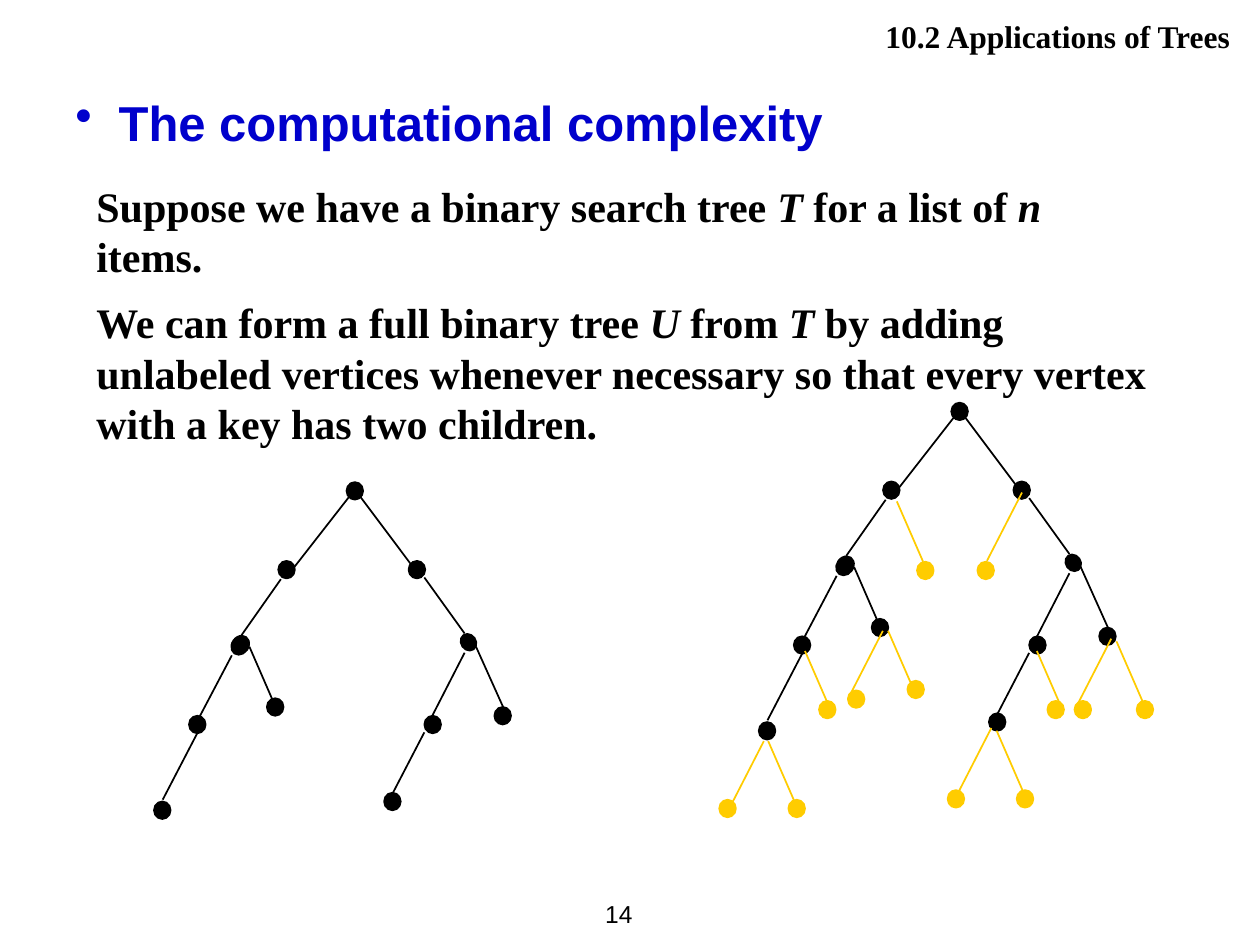
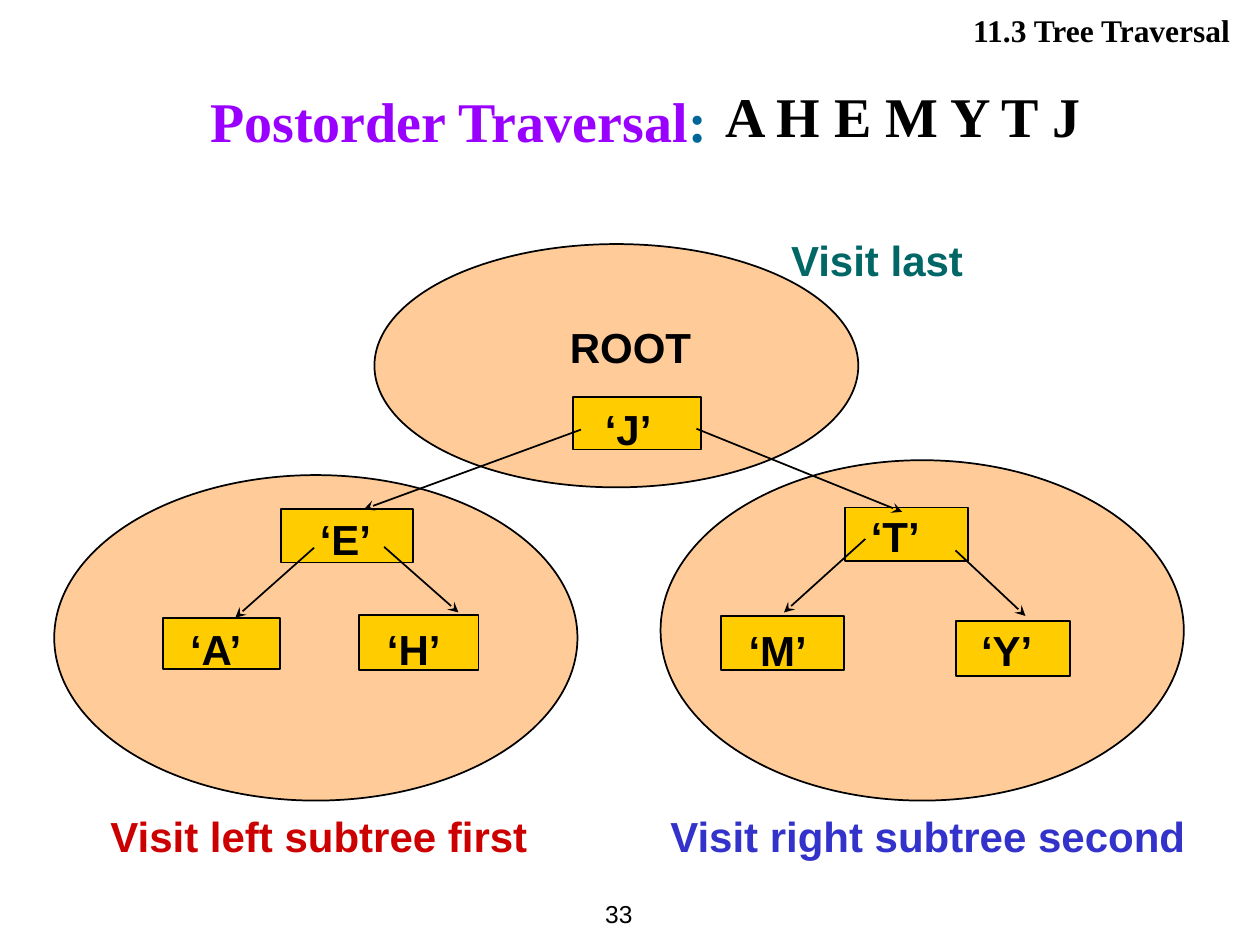
from lxml.etree import SubElement
from pptx import Presentation
from pptx.dml.color import RGBColor
from pptx.enum.shapes import MSO_CONNECTOR, MSO_SHAPE
from pptx.enum.text import MSO_ANCHOR, PP_ALIGN
from pptx.oxml.ns import qn
from pptx.util import Pt

BLACK = RGBColor(0x00, 0x00, 0x00)
GOLD = RGBColor(0xFF, 0xCC, 0x00)
PEACH = RGBColor(0xFF, 0xCC, 0x99)
BLUE = RGBColor(0x00, 0x00, 0xCC)
RED = RGBColor(0xCC, 0x00, 0x00)
INDIGO = RGBColor(0x33, 0x33, 0xCC)
TEAL = RGBColor(0x00, 0x66, 0x66)
PURPLE = RGBColor(0x99, 0x00, 0xFF)
STEEL = RGBColor(0x00, 0x66, 0x99)
SANS = "Arial"
SERIF = "Times New Roman"


def add_text(slide, box, runs, size, color=BLACK, font=SANS, bold=True,
             align=PP_ALIGN.LEFT, wrap=True, anchor=MSO_ANCHOR.TOP):
    text_frame = slide.shapes.add_textbox(*map(Pt, box)).text_frame
    text_frame.word_wrap = wrap
    text_frame.vertical_anchor = anchor
    paragraph = text_frame.paragraphs[0]
    paragraph.alignment = align
    for text in runs:
        run = paragraph.add_run()
        run.text = text
        run.font.name = font
        run.font.size = Pt(size)
        run.font.bold = bold
        run.font.color.rgb = color
    return text_frame


def add_shape(slide, kind, box, fill, line, rotation=0):
    shape = slide.shapes.add_shape(kind, *map(Pt, box))
    shape.shadow.inherit = False
    shape.rotation = rotation
    shape.fill.solid()
    shape.fill.fore_color.rgb = fill
    shape.line.color.rgb = line
    shape.line.width = Pt(1)


presentation = Presentation()
presentation.slide_width = Pt(720)
presentation.slide_height = Pt(540)
blank_layout = presentation.slide_layouts[6]
complexity_slide = presentation.slides.add_slide(blank_layout)
traversal_slide = presentation.slides.add_slide(blank_layout)

for slide, section, top, number in [
    (complexity_slide, " 10.2 Applications of Trees ", 6, "14"),
    (traversal_slide, "11.3 Tree Traversal ", 2.5, "33"),
]:
    add_text(slide, (286.5, top, 428, 29), [section], 18, font=SERIF, align=PP_ALIGN.RIGHT)
    add_text(slide, (320.5, 504, 48, 36), [number], 14, bold=False,
             align=PP_ALIGN.RIGHT, wrap=False, anchor=MSO_ANCHOR.MIDDLE)

title = add_text(complexity_slide, (36, 49.5, 648, 61),
                 [" The computational complexity"], 28, BLUE)
properties = title.paragraphs[0]._p.get_or_add_pPr()
properties.set("marL", str(Pt(17)))
properties.set("indent", str(-Pt(17)))
SubElement(properties, qn("a:buChar"), char="•")

statements = [
    (99.5, ["Suppose we have a binary search tree ", "T", " for a list of ", "n", " items."]),
    (166, ["We can form a full binary tree ", "U", " from ", "T",
           " by adding unlabeled vertices whenever necessary so that every vertex "
           "with a key has two children."]),
]
for top, runs in statements:
    paragraph = add_text(complexity_slide, (48, top, 618, 94), runs, 24, font=SERIF).paragraphs[0]
    paragraph.line_spacing = Pt(28.8)
    for variable in paragraph.runs[1::2]:
        variable.font.italic = True

NODE_WIDTH, NODE_HEIGHT = 9.5, 10
key_nodes = [
    (198, 275.5), (159, 320.5), (233.5, 320.5), (152.5, 399), (108, 409),
    (242.5, 409), (88, 458), (282.5, 404), (219.5, 453),
]
tilted_nodes = [((132.5, 363, 9.5, 11.5), 35.2), ((263.5, 362, 8.5, 10), -35.2)]
key_edges = [
    (201, 282, 165.5, 327.5), (204.5, 282, 236, 324),
    (160.5, 331, 138, 363), (242.5, 330, 265.5, 362),
    (132.5, 374.5, 112.5, 412.5), (142.5, 369.5, 157.5, 404),
    (265.5, 373, 245.5, 412), (272, 369.5, 287.5, 404),
    (113, 418.5, 93, 457), (242.5, 418.5, 222.5, 457),
]
LEFT_CHILD, RIGHT_CHILD = (-20, 39), (15, 34.5)
added_leaves = [
    (524, 321, 512.5, 286.5, RIGHT_CHILD), (558.5, 321, 584, 281.5, LEFT_CHILD),
    (484.5, 394.5, 504.5, 360.5, LEFT_CHILD), (518.5, 389, 507.5, 360.5, RIGHT_CHILD),
    (468, 400.5, 460, 372, RIGHT_CHILD), (450.5, 457, 439, 423.5, RIGHT_CHILD),
    (411, 457, 436.5, 423.5, LEFT_CHILD), (581, 451.5, 569.5, 417.5, RIGHT_CHILD),
    (541.5, 451.5, 566.5, 416, LEFT_CHILD), (649.5, 400.5, 638, 366.5, RIGHT_CHILD),
    (614, 400.5, 635, 365, LEFT_CHILD), (598.5, 400.5, 592.5, 372, RIGHT_CHILD),
]

lines = []
for shift_x, shift_y in [(0, 0), (345.6, -45.4)]:
    nodes = [((x, y, NODE_WIDTH, NODE_HEIGHT), 0) for x, y in key_nodes]
    for (x, y, width, height), rotation in nodes + tilted_nodes:
        add_shape(complexity_slide, MSO_SHAPE.OVAL,
                  (x + shift_x, y + shift_y, width, height), BLACK, BLACK, rotation)
    for x1, y1, x2, y2 in key_edges:
        lines.append((complexity_slide, BLACK, False,
                      (x1 + shift_x, y1 + shift_y, x2 + shift_x, y2 + shift_y)))
for x, y, start_x, start_y, (step_x, step_y) in added_leaves:
    add_shape(complexity_slide, MSO_SHAPE.OVAL, (x, y, NODE_WIDTH, NODE_HEIGHT), GOLD, GOLD)
    lines.append((complexity_slide, GOLD, False,
                  (start_x, start_y, start_x + step_x, start_y + step_y)))

for oval in [(377.5, 263, 299, 194.5), (214, 139.5, 276.5, 139), (31, 271.5, 299, 186)]:
    add_shape(traversal_slide, MSO_SHAPE.OVAL, oval, PEACH, BLACK)

key_boxes = [
    ("‘J’", (327.5, 227, 73, 30), (338.5, 227)),
    (" ‘E’", (160.5, 291, 75.5, 30.5), (169, 290)),
    ("‘T’", (483, 290, 70, 30.5), (490.5, 288)),
    ("‘A’", (93, 353, 67, 29.5), (101.5, 353)),
    ("‘H’", (205, 351.5, 68.5, 31.5), (214, 353)),
    (" ‘M’", (412, 352, 70.5, 31), (414, 353.5)),
    ("‘Y’", (546.5, 355, 65, 31.5), (553.5, 353.5)),
]
for key, box, position in key_boxes:
    add_shape(traversal_slide, MSO_SHAPE.RECTANGLE, box, GOLD, BLACK)
    add_text(traversal_slide, (*position, 70, 36), [key], 24)

for arrow in [
    (332, 245.5, 208, 291), (398, 245, 515.5, 292.5),
    (179.5, 313, 134.5, 353), (219.5, 312.5, 262, 350),
    (494.5, 308, 448, 350), (546, 314.5, 586, 352),
]:
    lines.append((traversal_slide, BLACK, True, arrow))

for slide, color, has_arrowhead, ends in lines:
    connector = slide.shapes.add_connector(MSO_CONNECTOR.STRAIGHT, *map(Pt, ends))
    connector.line.color.rgb = color
    connector.line.width = Pt(1)
    if has_arrowhead:
        SubElement(connector.line._get_or_add_ln(), qn("a:tailEnd"), type="stealth")
    SubElement(connector._element.spPr, qn("a:effectLst"))

for caption, box, color in [
    ("ROOT", (318.5, 180, 84, 36), BLACK),
    ("Visit left subtree first", (56, 459.5, 253.5, 36), RED),
    ("Visit right subtree second", (376, 459.5, 309.5, 36), INDIGO),
    ("Visit last", (445, 130.5, 113, 36), TEAL),
]:
    add_text(traversal_slide, box, [caption], 24, color, wrap=False)

heading = add_text(traversal_slide, (0, 37.5, 524, 54), ["Postorder Traversal", ":"], 32,
                   PURPLE, SERIF, align=PP_ALIGN.CENTER, anchor=MSO_ANCHOR.BOTTOM)
heading.paragraphs[0].runs[1].font.color.rgb = STEEL
add_text(traversal_slide, (405.5, 43, 221, 84), ["A H E M Y T J "], 32,
         font=SERIF, align=PP_ALIGN.CENTER)

presentation.save("out.pptx")
